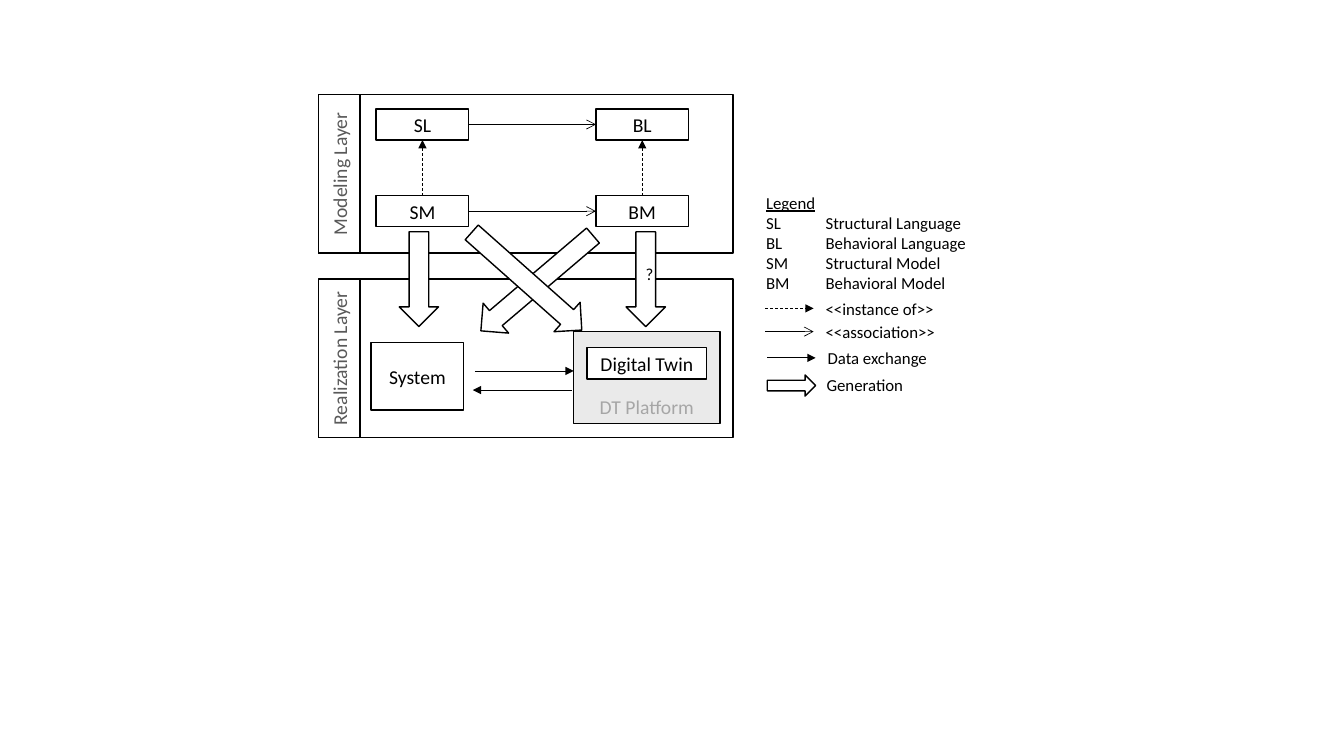
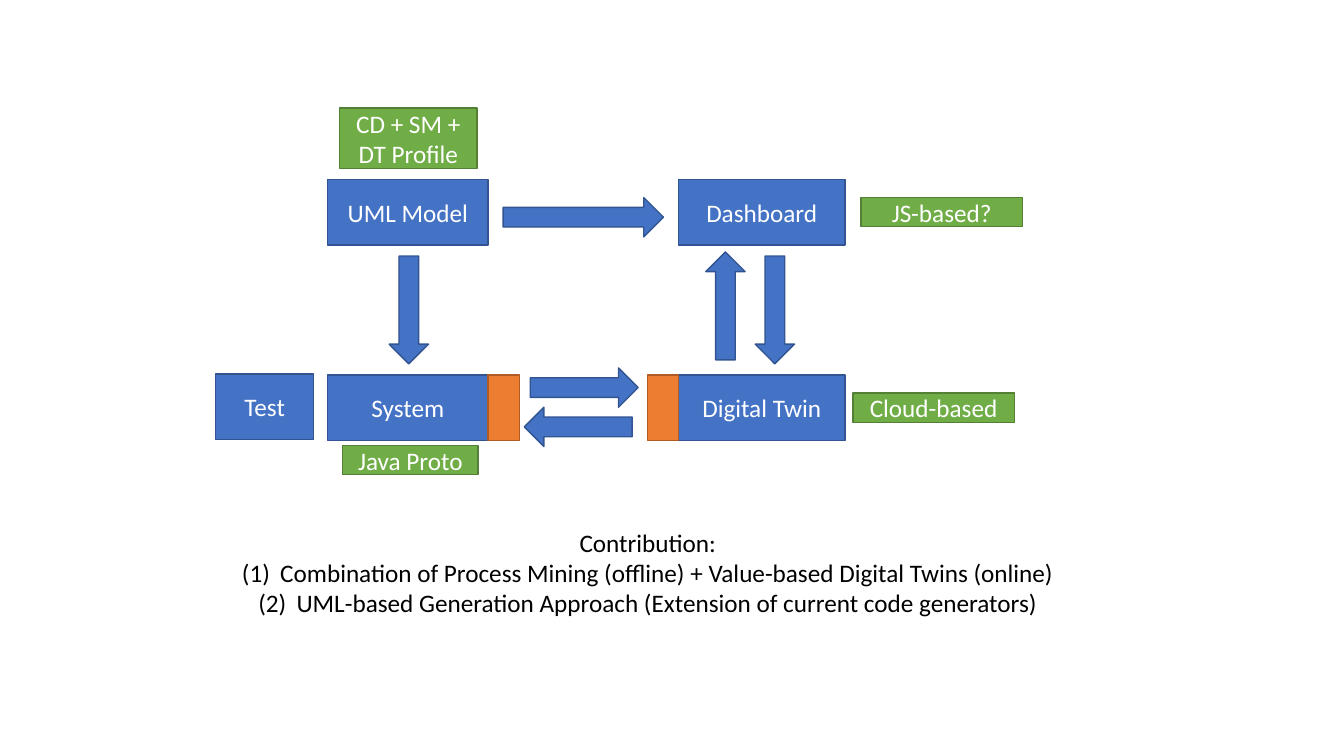
"""Build two slides on model-driven digital twins: layers and architecture."""

from dataclasses import dataclass
from typing import NamedTuple, Optional

from lxml.etree import SubElement
from pptx import Presentation
from pptx.dml.color import RGBColor
from pptx.enum.dml import MSO_LINE
from pptx.enum.shapes import MSO_CONNECTOR, MSO_SHAPE
from pptx.enum.text import MSO_ANCHOR, MSO_AUTO_SIZE, PP_ALIGN
from pptx.oxml.ns import qn
from pptx.shapes.autoshape import Shape
from pptx.shapes.connector import Connector
from pptx.slide import Slide
from pptx.text.text import _Paragraph
from pptx.util import Inches, Pt

FONT = "Calibri"
BLACK = RGBColor(0x00, 0x00, 0x00)
WHITE = RGBColor(0xFF, 0xFF, 0xFF)
DARK_GREY = RGBColor(0x59, 0x59, 0x59)
MID_GREY = RGBColor(0xA6, 0xA6, 0xA6)
LIGHT_GREY = RGBColor(0xBF, 0xBF, 0xBF)
BLUE = RGBColor(0x44, 0x72, 0xC4)
DARK_BLUE = RGBColor(0x32, 0x54, 0x91)
ORANGE = RGBColor(0xED, 0x7D, 0x31)
DARK_ORANGE = RGBColor(0xAF, 0x5C, 0x24)
GREEN = RGBColor(0x70, 0xAD, 0x47)
DARK_GREEN = RGBColor(0x53, 0x80, 0x35)


@dataclass(frozen=True)
class Style:
    """Colours and text size of a block."""

    fill: Optional[RGBColor]
    line: RGBColor
    text: RGBColor
    size: int
    opacity: Optional[int] = None


OUTLINED = Style(WHITE, BLACK, BLACK, 14)
QUESTION = Style(WHITE, BLACK, BLACK, 12)
LAYER_LABEL = Style(None, BLACK, DARK_GREY, 14)
PLATFORM = Style(LIGHT_GREY, BLACK, MID_GREY, 14, 32)
COMPONENT = Style(BLUE, DARK_BLUE, WHITE, 18)
ADAPTER = Style(ORANGE, DARK_ORANGE, WHITE, 18)
TECHNOLOGY = Style(GREEN, DARK_GREEN, WHITE, 18)


@dataclass(frozen=True)
class Block:
    """A preset shape with its place in inches, label and style."""

    label: str
    left: float
    top: float
    width: float
    height: float
    style: Style = OUTLINED
    preset: MSO_SHAPE = MSO_SHAPE.RECTANGLE
    rotation: float = 0
    anchor: MSO_ANCHOR = MSO_ANCHOR.MIDDLE


class Arrow(NamedTuple):
    """A straight arrow between two points in inches."""

    start: tuple[float, float]
    end: tuple[float, float]
    head: str = "triangle"
    dashed: bool = False


class LegendLine(NamedTuple):
    """A legend row with a sample of an arrow."""

    meaning: str
    left: float
    middle: float
    head: str
    dashed: bool = False


LAYER_LEFT, LAYER_WIDTH, LAYER_HEIGHT, LABEL_DEPTH = 3.16, 4.11, 1.57, 0.41
LAYERS = {"Realization Layer": 2.77, "Modeling Layer": 0.94}
COLUMNS = {"S": 3.73, "B": 5.91}
ROWS = {"L": 1.08, "M": 1.94}
CONCEPT_WIDTH, CONCEPT_HEIGHT = 0.92, 0.31
SAMPLE_WIDTH = 0.48
ARROW_DEPTH = 0.39

REALIZATION = [
    Block("DT Platform", 5.69, 3.29, 1.45, 0.91, PLATFORM, anchor=MSO_ANCHOR.BOTTOM),
    Block("System", 3.68, 3.4, 0.92, 0.67),
    Block("Digital Twin", 5.82, 3.45, 1.19, 0.31),
]
GENERATIONS = [
    Block("", 3.96, 2.3, ARROW_DEPTH, 0.94, OUTLINED, MSO_SHAPE.DOWN_ARROW),
    Block("", 5.13, 2.08, ARROW_DEPTH, 1.46, OUTLINED, MSO_SHAPE.DOWN_ARROW, 49.6),
    Block("", 5.03, 2.06, ARROW_DEPTH, 1.46, OUTLINED, MSO_SHAPE.DOWN_ARROW, 311.6),
    Block("?", 6.21, 2.3, ARROW_DEPTH, 0.94, QUESTION, MSO_SHAPE.DOWN_ARROW),
    Block("", 7.61, 3.72, SAMPLE_WIDTH, 0.21, OUTLINED, MSO_SHAPE.RIGHT_ARROW),
]
DATA_EXCHANGES = [
    Arrow((4.71, 3.68), (5.69, 3.68)),
    Arrow((5.67, 3.87), (4.69, 3.87)),
]
ABBREVIATIONS = {
    "SL": "Structural Language",
    "BL": "Behavioral Language",
    "SM": "Structural Model",
    "BM": "Behavioral Model",
}
LEGEND_LINES = [
    LegendLine("<<instance of>>", 7.59, 3.06, "triangle", True),
    LegendLine("<<association>>", 7.59, 3.29, "arrow"),
    LegendLine("Data exchange", 7.61, 3.55, "triangle"),
]

LEFT_COLUMN, RIGHT_COLUMN = 3.25, 6.73
LEFT_WIDTH, RIGHT_WIDTH = 1.59, 1.65
UPPER_ROW, LOWER_ROW, ROW_HEIGHT = 1.78, 3.72, 0.65
ADAPTER_WIDTH, FLOW, TAG_HEIGHT = 0.31, 1.07, 0.29
ARCHITECTURE = [
    Block("UML Model", LEFT_COLUMN, UPPER_ROW, LEFT_WIDTH, ROW_HEIGHT, COMPONENT),
    Block("System", LEFT_COLUMN, LOWER_ROW, LEFT_WIDTH, ROW_HEIGHT, COMPONENT),
    Block("Dashboard", RIGHT_COLUMN, UPPER_ROW, RIGHT_WIDTH, ROW_HEIGHT, COMPONENT),
    Block("Digital Twin", RIGHT_COLUMN, LOWER_ROW, RIGHT_WIDTH, ROW_HEIGHT, COMPONENT),
    Block("Test", 2.14, 3.71, 0.97, ROW_HEIGHT, COMPONENT),
    Block("", LEFT_COLUMN + LEFT_WIDTH, LOWER_ROW, ADAPTER_WIDTH, ROW_HEIGHT, ADAPTER),
    Block("", RIGHT_COLUMN - ADAPTER_WIDTH, LOWER_ROW, ADAPTER_WIDTH, ROW_HEIGHT, ADAPTER),
    Block("", 3.86, 2.54, ARROW_DEPTH, FLOW, COMPONENT, MSO_SHAPE.DOWN_ARROW),
    Block("", 7.49, 2.54, ARROW_DEPTH, FLOW, COMPONENT, MSO_SHAPE.DOWN_ARROW),
    Block("", 7, 2.5, ARROW_DEPTH, FLOW, COMPONENT, MSO_SHAPE.UP_ARROW),
    Block("", 4.99, 1.96, 1.59, ARROW_DEPTH, COMPONENT, MSO_SHAPE.RIGHT_ARROW),
    Block("", 5.26, 3.65, FLOW, ARROW_DEPTH, COMPONENT, MSO_SHAPE.RIGHT_ARROW),
    Block("", 5.2, 4.04, FLOW, ARROW_DEPTH, COMPONENT, MSO_SHAPE.LEFT_ARROW),
    Block("CD + SM + DT Profile", 3.37, 1.07, 1.36, 0.6, TECHNOLOGY),
    Block("Java Proto", 3.4, 4.42, 1.34, TAG_HEIGHT, TECHNOLOGY),
    Block("Cloud-based", 8.46, 3.9, 1.6, TAG_HEIGHT, TECHNOLOGY),
    Block("JS-based?", 8.54, 1.96, 1.6, TAG_HEIGHT, TECHNOLOGY),
]
CONTRIBUTIONS = [
    "Combination of Process Mining (offline) + Value-based Digital Twins (online)",
    "UML-based Generation Approach (Extension of current code generators)",
]


def add_run(
    paragraph: _Paragraph, text: str, size: int, color: RGBColor = BLACK, underline: bool = False
) -> None:
    """Add one formatted run to a paragraph."""
    run = paragraph.add_run()
    run.text = text
    run.font.name = FONT
    run.font.size = Pt(size)
    run.font.color.rgb = color
    if underline:
        run.font.underline = True


def draw_block(slide: Slide, block: Block) -> Shape:
    """Draw a block with its centred label."""
    place = map(Inches, (block.left, block.top, block.width, block.height))
    shape = slide.shapes.add_shape(block.preset, *place)
    shape.shadow.inherit = False
    shape.rotation = block.rotation
    style = block.style
    if style.fill is None:
        shape.fill.background()
    else:
        shape.fill.solid()
        shape.fill.fore_color.rgb = style.fill
    if style.opacity is not None:
        color = shape.fill._xPr.find(qn("a:solidFill"))[0]
        SubElement(color, qn("a:alpha"), val=str(style.opacity * 1000))
    shape.line.color.rgb = style.line
    shape.line.width = Pt(1)
    if block.label:
        frame = shape.text_frame
        frame.word_wrap = True
        frame.vertical_anchor = block.anchor
        frame.paragraphs[0].alignment = PP_ALIGN.CENTER
        add_run(frame.paragraphs[0], block.label, style.size, style.text)
    return shape


def draw_arrow(slide: Slide, arrow: Arrow) -> Connector:
    """Draw a thin black arrow."""
    ends = map(Inches, (*arrow.start, *arrow.end))
    connector = slide.shapes.add_connector(MSO_CONNECTOR.STRAIGHT, *ends)
    connector.line.color.rgb = BLACK
    connector.line.width = Pt(0.5)
    if arrow.dashed:
        connector.line.dash_style = MSO_LINE.DASH
    SubElement(connector.line._get_or_add_ln(), qn("a:tailEnd"), type=arrow.head)
    SubElement(connector._element.spPr, qn("a:effectLst"))
    return connector


def join(
    slide: Slide, source: Shape, source_side: int, target: Shape, target_side: int,
    head: str, dashed: bool = False,
) -> None:
    """Join the sides of two blocks with an arrow."""
    connector = draw_arrow(slide, Arrow((0, 0), (1, 1), head, dashed))
    connector.begin_connect(source, source_side)
    connector.end_connect(target, target_side)


def draw_meaning(slide: Slide, meaning: str, left: float, middle: float) -> None:
    """Write the meaning beside a legend sample."""
    place = map(Inches, (left, middle - 0.15, 1.3, 0.3))
    frame = slide.shapes.add_textbox(*place).text_frame
    frame.word_wrap = True
    add_run(frame.paragraphs[0], meaning, 12)


def draw_abbreviations(slide: Slide) -> None:
    """Write the legend heading and the tabbed abbreviations."""
    place = map(Inches, (7.5, 1.73, 2.24, 1.36))
    frame = slide.shapes.add_textbox(*place).text_frame
    frame.word_wrap = True
    frame.vertical_anchor = MSO_ANCHOR.MIDDLE
    add_run(frame.paragraphs[0], "Legend", 12, underline=True)
    for abbreviation, meaning in ABBREVIATIONS.items():
        paragraph = frame.add_paragraph()
        tabs = SubElement(paragraph._p.get_or_add_pPr(), qn("a:tabLst"))
        SubElement(tabs, qn("a:tab"), pos=str(Inches(0.59)), algn="l")
        add_run(paragraph, f"{abbreviation}\t{meaning}", 12)


def draw_layers(slide: Slide) -> None:
    """Draw the modeling and realization layers with their legend."""
    label_left = LAYER_LEFT - (LAYER_HEIGHT - LABEL_DEPTH) / 2
    for layer, top in LAYERS.items():
        draw_block(slide, Block("", LAYER_LEFT, top, LAYER_WIDTH, LAYER_HEIGHT))
        label_top = top + (LAYER_HEIGHT - LABEL_DEPTH) / 2
        draw_block(
            slide,
            Block(layer, label_left, label_top, LAYER_HEIGHT, LABEL_DEPTH, LAYER_LABEL, rotation=270),
        )
    concepts = {
        column + row: draw_block(slide, Block(column + row, left, top, CONCEPT_WIDTH, CONCEPT_HEIGHT))
        for column, left in COLUMNS.items()
        for row, top in ROWS.items()
    }
    for row in ROWS:
        join(slide, concepts["S" + row], 3, concepts["B" + row], 1, "arrow")
    for column in COLUMNS:
        join(slide, concepts[column + "M"], 0, concepts[column + "L"], 2, "triangle", True)
    for block in REALIZATION + GENERATIONS:
        draw_block(slide, block)
    for exchange in DATA_EXCHANGES:
        draw_arrow(slide, exchange)
    draw_abbreviations(slide)
    for meaning, left, middle, head, dashed in LEGEND_LINES:
        draw_arrow(slide, Arrow((left, middle), (left + SAMPLE_WIDTH, middle), head, dashed))
        draw_meaning(slide, meaning, left + 0.5, middle)
    draw_meaning(slide, "Generation", 8.1, 3.82)


def draw_contributions(slide: Slide) -> None:
    """Fill the body placeholder with the numbered contributions."""
    body = slide.placeholders[1]
    body.left, body.top, body.width, body.height = map(Inches, (1.11, 5.18, 10.63, 1.01))
    frame = body.text_frame
    frame.auto_size = MSO_AUTO_SIZE.NONE
    for number, text in enumerate(["Contribution:", *CONTRIBUTIONS]):
        paragraph = frame.add_paragraph() if number else frame.paragraphs[0]
        paragraph.alignment = PP_ALIGN.CENTER
        paragraph.space_before = Pt(0)
        properties = paragraph._p.get_or_add_pPr()
        indent = Inches(0.38) if number else 0
        properties.set("marL", str(indent))
        properties.set("indent", str(-indent))
        if number:
            SubElement(properties, qn("a:buFont"), typeface=FONT)
            SubElement(properties, qn("a:buAutoNum"), type="arabicParenBoth")
        else:
            SubElement(properties, qn("a:buNone"))
        add_run(paragraph, text, 18)


def main() -> None:
    """Build and save the presentation."""
    deck = Presentation()
    deck.slide_width, deck.slide_height = Inches(13.33), Inches(7.5)
    draw_layers(deck.slides.add_slide(deck.slide_layouts[6]))
    architecture = deck.slides.add_slide(deck.slide_layouts[1])
    title = architecture.shapes.title._element
    title.getparent().remove(title)
    for block in ARCHITECTURE:
        draw_block(architecture, block)
    draw_contributions(architecture)
    deck.save("out.pptx")


if __name__ == "__main__":
    main()
